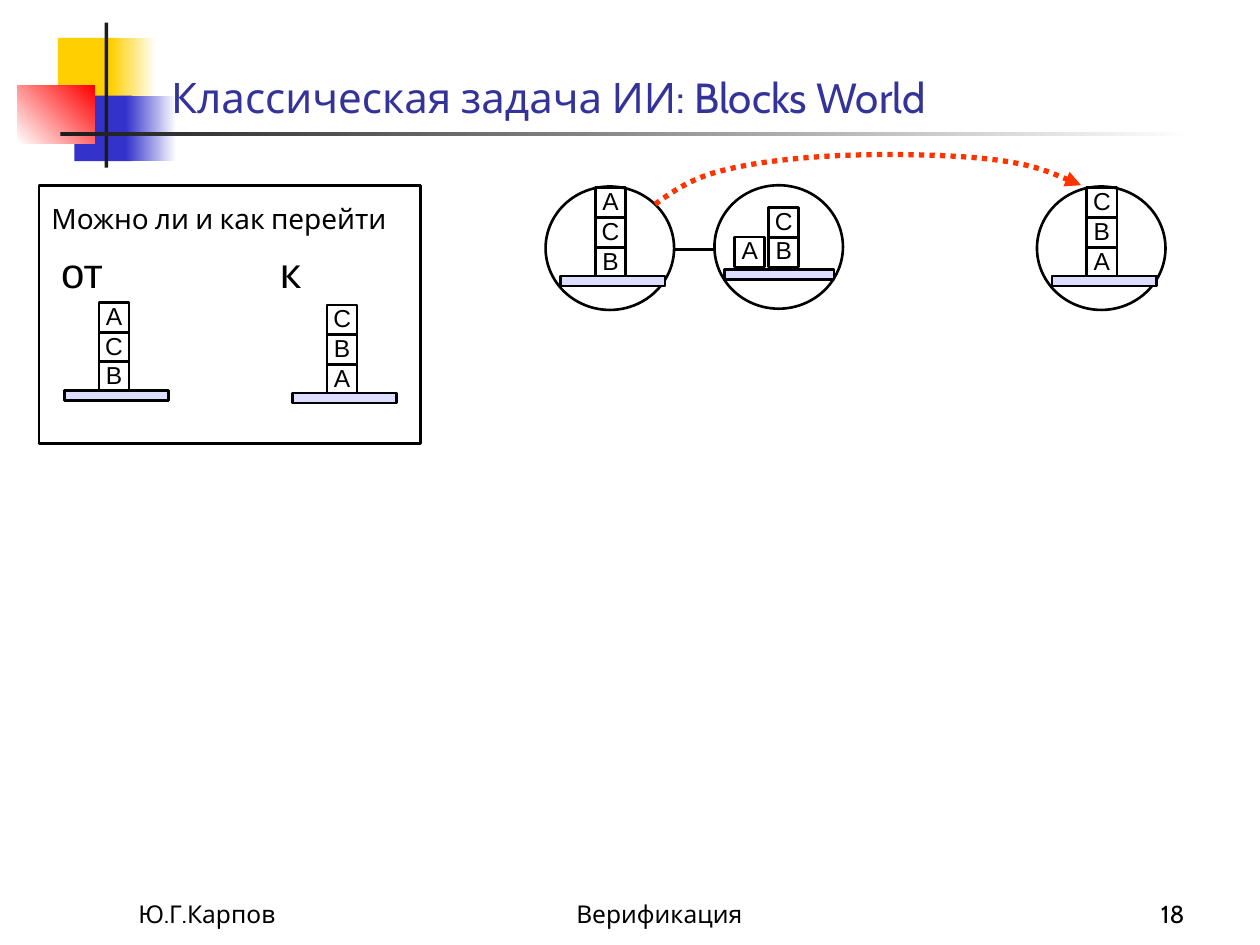
from dataclasses import dataclass

from lxml import etree
from pptx import Presentation
from pptx import util as u
from pptx.dml.color import RGBColor
from pptx.enum import dml, shapes, text
from pptx.oxml.ns import qn


@dataclass(frozen=True)
class Theme:
    yellow: str = "FFCF01"
    blue: str = "3333CC"
    red: str = "FF0000"
    dark: str = "1C1C1C"
    white: str = "FFFFFF"
    ink: str = "000000"
    title: str = "333399"
    board: str = "DDDDFF"
    jump: str = "FF3300"
    head_font: str = "Cabin"
    block_font: str = "Arial"
    large: int = 24
    medium: int = 16
    small: int = 14
    line: float = 1.5
    jump_line: float = 3


T = Theme()
COLS, ROWS = 100, 75
BLOCK, PITCH = 2.4, 2.35  # block side and vertical step, in grid cells
RECT, OVAL = shapes.MSO_SHAPE.RECTANGLE, shapes.MSO_SHAPE.OVAL
ALIGN, ANCHOR = text.PP_ALIGN, text.MSO_ANCHOR

prs = Presentation()
prs.slide_width, prs.slide_height = u.Inches(10), u.Inches(7.5)


def at(x, y):
    """Grid columns and rows to slide lengths."""
    return round(prs.slide_width * x / COLS), round(prs.slide_height * y / ROWS)


def add_box(parent, kind, x, y, w, h, fill=None, line=None, angle=0):
    """Preset shape; a pair of colours as fill makes a gradient."""
    sp = parent.add_shape(kind, *at(x, y), *at(w, h))
    sp.shadow.inherit = False
    if fill is None:
        sp.fill.background()
    elif isinstance(fill, tuple):
        sp.fill.gradient()
        sp.fill.gradient_angle = angle
        for stop, color in zip(sp.fill.gradient_stops, fill):
            stop.color.rgb = RGBColor.from_string(color)
    else:
        sp.fill.solid()
        sp.fill.fore_color.rgb = RGBColor.from_string(fill)
    if line:
        set_line(sp, line, T.line)
    else:
        sp.line.fill.background()
    return sp


def set_line(sp, color, width):
    sp.line.color.rgb = RGBColor.from_string(color)
    sp.line.width = u.Pt(width)


def add_text(parent, words, x, y, w, h, size=T.small, font=T.head_font,
             color=T.ink, align=ALIGN.LEFT, anchor=ANCHOR.TOP):
    tf = parent.add_textbox(*at(x, y), *at(w, h)).text_frame
    tf.word_wrap = True
    tf.vertical_anchor = anchor
    p = tf.paragraphs[0]
    p.alignment = align
    r = p.add_run()
    r.text = words
    r.font.size, r.font.name = u.Pt(size), font
    r.font.color.rgb = RGBColor.from_string(color)


def add_ornament(s, x, y):
    """Coloured squares and rules beside the title."""
    for dx, dy, w, h, fill, angle in (
        (3.2, 1.2, 4.8, 5.2, T.yellow, 0),
        (7.4, 1.2, 3.6, 5.2, (T.yellow, T.white), 0),
        (4.5, 5.8, 4.6, 5.2, T.blue, 0),
        (8.6, 5.8, 4, 5.2, (T.blue, T.white), 0),
        (0, 5, 6.1, 4.6, (T.white, T.red), 45),
        (6.9, 0, 0.3, 11.5, T.dark, 0),
        (3.4, 8.7, 90, 0.3, (T.dark, T.white), 0),
    ):
        add_box(s.shapes, RECT, x + dx, y + dy, w, h, fill, angle=angle)


def add_footer(s, y, h):
    for words, x, w, align in (
        ("Ю.Г.Карпов", 10, 20.8, ALIGN.LEFT),
        ("Верификация ", 36.7, 31.7, ALIGN.CENTER),
        ("18", 74.2, 20.8, ALIGN.RIGHT),
    ):
        add_text(s.shapes, words, x, y, w, h, align=align, anchor=ANCHOR.BOTTOM)


def add_towers(parent, x, y, towers, width=8.3, lift=-0.1):
    """Towers of blocks on a board at x, y: (column offset, letters from the bottom)."""
    for dx, letters in towers:
        for level, letter in enumerate(letters):
            bx, by = x + dx, y - lift - BLOCK - level * PITCH
            add_box(parent, RECT, bx, by, BLOCK, BLOCK, line=T.ink)
            add_text(parent, letter, bx - 0.75, by - 0.6, 3.9, 3.4,
                     font=T.block_font, align=ALIGN.CENTER)
    add_box(parent, RECT, x, y, width, 0.8, T.board, T.ink)


def add_state(s, x, y, towers, board=(1.2, 7.1), **kw):
    """One state of the world in a circle."""
    g = s.shapes.add_group_shape().shapes
    add_box(g, OVAL, x, y, 10.2, 9.8, line=T.ink)
    add_towers(g, x + board[0], y + board[1], towers, **kw)


def add_question(s, x, y, w, h):
    """Framed question with the start and goal towers."""
    g = s.shapes.add_group_shape().shapes
    add_text(g, "Можно ли и как перейти", x, y + 0.8, w, 3.7, size=T.medium)
    add_text(g, "от", x - 0.2, y + 4.4, 7.2, 5, size=T.large,
             font=T.block_font, align=ALIGN.CENTER)
    add_text(g, "к", x + 17, y + 4.4, 5.9, 5, size=T.large, align=ALIGN.CENTER)
    add_towers(g, x + 2, y + 16.3, [(2.75, "BCA")])
    add_towers(g, x + 20.1, y + 16.5, [(2.75, "ABC")])
    add_box(g, RECT, x, y, w, h, line=T.ink)


def add_link(s, x1, x2, y):
    c = s.shapes.add_connector(shapes.MSO_CONNECTOR.STRAIGHT, *at(x1, y), *at(x2, y))
    set_line(c, T.ink, T.line)
    etree.SubElement(c._element.spPr, qn("a:effectLst"))


def add_jump(s, start, curves):
    """Dotted curved arrow; each curve is two control points and an end point."""
    fb = s.shapes.build_freeform(*at(*start))
    fb.add_line_segments([at(*c[-1]) for c in curves], close=False)
    sp = fb.convert_to_shape()
    sp.shadow.inherit = False
    sp.fill.background()
    set_line(sp, T.jump, T.jump_line)
    sp.line.dash_style = dml.MSO_LINE.ROUND_DOT
    etree.SubElement(sp.line._get_or_add_ln(), qn("a:tailEnd"), type="triangle")
    # Turn the straight segments into Bézier curves
    for seg, curve in zip(list(sp._element.iter(qn("a:lnTo"))), curves):
        bez = etree.Element(qn("a:cubicBezTo"))
        for px, py in (at(*pt) for pt in curve):
            etree.SubElement(bez, qn("a:pt"), x=str(px - sp.left), y=str(py - sp.top))
        seg.getparent().replace(seg, bez)


def add_blocks_world(s):
    add_ornament(s, 1.4, 1.8)
    add_footer(s, 69.2, 5)
    add_text(s.shapes, "Классическая задача ИИ: Blocks World", 12.6, 2.2, 85.2, 8,
             size=T.large, color=T.title, anchor=ANCHOR.BOTTOM)
    # States and moves
    add_state(s, 43.3, 14.8, [(2.75, "BCA")])
    add_state(s, 82.3, 14.8, [(2.75, "ABC")])
    add_question(s, 3.1, 14.7, 30.3, 20.5)
    add_state(s, 56.7, 14.7, [(0.8, "A"), (3.5, "BC")],
              board=(0.8, 6.7), width=8.7, lift=0.2)
    add_link(s, 53.5, 56.7, 19.8)
    add_jump(s, (52, 16.2), [
        [(53.4, 15.2), (54.9, 14.1), (57.5, 13.5)],
        [(60.2, 12.8), (64.3, 12.4), (67.9, 12.3)],
        [(71.5, 12.2), (76.1, 12.3), (79.1, 12.7)],
        [(82.1, 13.1), (83.9, 13.9), (85.8, 14.7)],
    ])


if __name__ == "__main__":
    add_blocks_world(prs.slides.add_slide(prs.slide_layouts[6]))
    prs.save("out.pptx")
